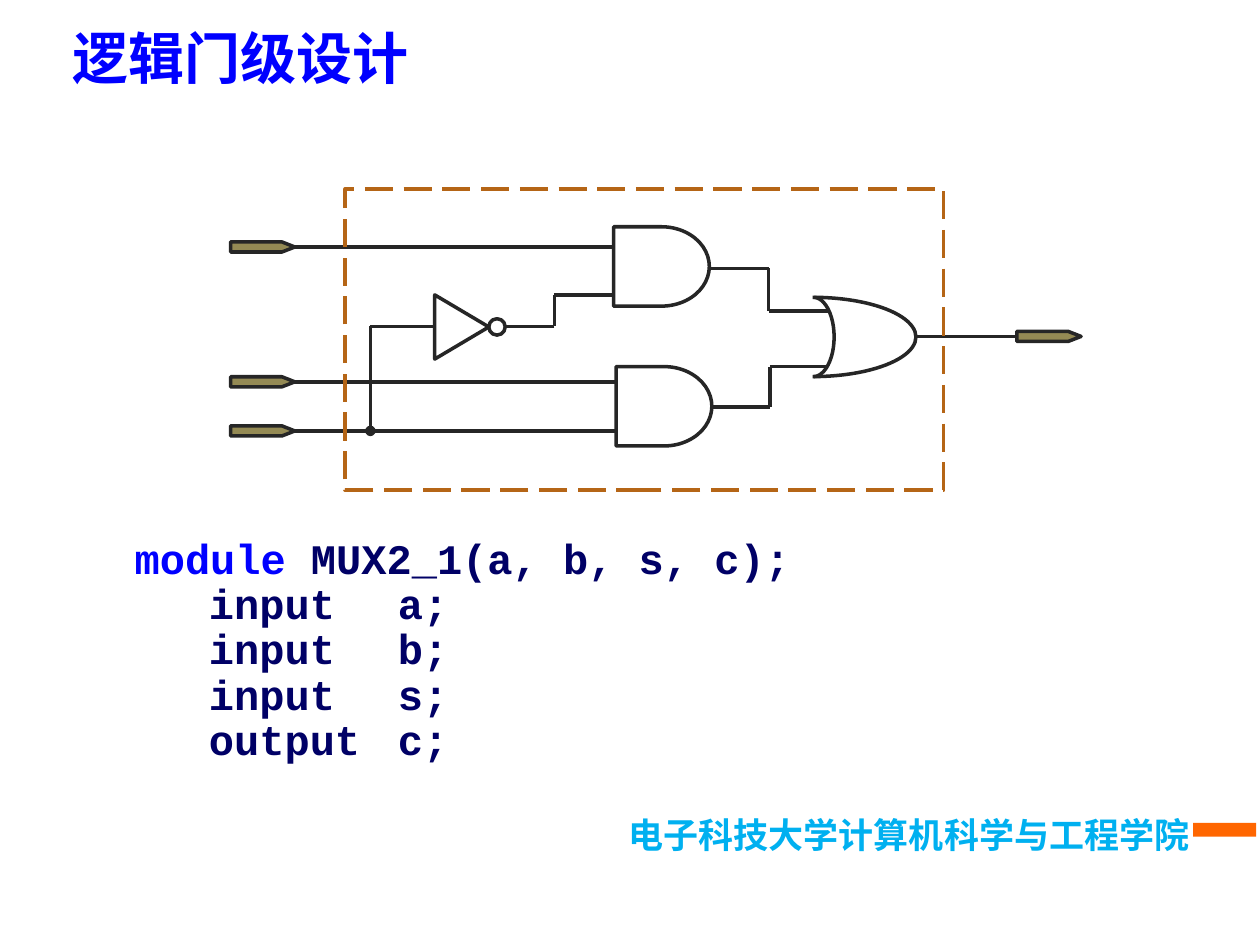
from lxml.etree import SubElement
from pptx import Presentation
from pptx.dml.color import RGBColor
from pptx.enum.dml import MSO_LINE
from pptx.enum.shapes import MSO_CONNECTOR, MSO_SHAPE
from pptx.enum.text import MSO_ANCHOR, MSO_AUTO_SIZE, PP_ALIGN
from pptx.oxml.ns import qn
from pptx.util import Inches, Pt

INK = "262626"
WHITE = "FFFFFF"
BLUE = "0000FF"
NAVY = "000066"
CJK_FONT = "Noto Sans CJK SC"
CODE_INDENT = 0.59


def color(value):
    """Turn a hex string into a colour."""
    return RGBColor.from_string(value)


def add_shape(shapes, preset, bounds, fill=None, line=INK, rotation=0):
    """Add a preset shape with an optional fill and outline."""
    shape = shapes.add_shape(preset, *map(Inches, bounds))
    shape.shadow.inherit = False
    shape.rotation = rotation
    if fill:
        shape.fill.solid()
        shape.fill.fore_color.rgb = color(fill)
    else:
        shape.fill.background()
    if line:
        shape.line.color.rgb = color(line)
        shape.line.width = Pt(2)
    else:
        shape.line.fill.background()
    return shape


def add_wires(shapes, *points, dot=False):
    """Join successive points with straight wires, ending in a dot if asked."""
    for start, end in zip(points, points[1:]):
        wire = shapes.add_connector(
            MSO_CONNECTOR.STRAIGHT, *map(Inches, (*start, *end)))
        wire.line.color.rgb = color(INK)
        wire.line.width = Pt(2)
        if dot and end == points[-1]:
            SubElement(wire.line._get_or_add_ln(), qn("a:tailEnd"), type="oval")
        SubElement(wire._element.spPr, qn("a:effectLst"))


def add_pin(shapes, left, middle):
    """Add a port marker pointing right."""
    width, height = 0.08, 0.51
    bounds = (left + (height - width) / 2, middle - height / 2, width, height)
    add_shape(shapes, MSO_SHAPE.FLOWCHART_OFFPAGE_CONNECTOR, bounds, "948A54", rotation=270)


def add_and_gate(shapes, left, top):
    """Add an AND gate."""
    add_shape(shapes, MSO_SHAPE.FLOWCHART_DELAY, (left, top, 0.76, 0.63), WHITE)


def add_or_gate(shapes):
    """Add an OR gate made of three arcs."""
    bounds = (5.63, 2.36, 1.64, 0.63)
    add_shape(shapes, MSO_SHAPE.ARC, bounds)
    lower = add_shape(shapes, MSO_SHAPE.ARC, bounds)
    lower._element.spPr.xfrm.set("flipV", "1")
    back = add_shape(shapes, MSO_SHAPE.ARC, (6.14, 2.51, 0.63, 0.33), rotation=90)
    back.adjustments[0] = 108.6
    back.adjustments[1] = 0


def add_inverter(shapes):
    """Add an inverter with its output bubble."""
    add_shape(shapes, MSO_SHAPE.FLOWCHART_EXTRACT, (3.41, 2.38, 0.51, 0.43), WHITE, rotation=90)
    add_shape(shapes, MSO_SHAPE.OVAL, (3.88, 2.53, 0.13, 0.13), WHITE)


def add_circuit(page):
    """Draw the multiplexer circuit as one group."""
    shapes = page.shapes.add_group_shape().shapes
    add_or_gate(shapes)
    for height, end in ((1.96, 4.86), (3.03, 5.5), (3.42, 5.47)):
        add_wires(shapes, (2.19, height), (end, height))
    add_wires(shapes, (4.4, 2.59), (2.94, 2.59), (2.94, 3.42), dot=True)
    add_wires(shapes, (4.4, 2.59), (4.4, 2.34), (4.87, 2.34))
    add_wires(shapes, (5.63, 2.13), (6.1, 2.13), (6.1, 2.47), (6.57, 2.47))
    add_wires(shapes, (5.65, 3.23), (6.11, 3.23), (6.11, 2.91), (6.57, 2.91))
    add_wires(shapes, (7.27, 2.67), (8.07, 2.67))
    add_inverter(shapes)
    add_and_gate(shapes, 4.87, 1.8)
    add_and_gate(shapes, 4.89, 2.91)
    for left, middle in ((1.83, 1.96), (1.83, 3.03), (1.83, 3.42), (8.07, 2.67)):
        add_pin(shapes, left, middle)
    border = add_shape(shapes, MSO_SHAPE.RECTANGLE, (2.74, 1.5, 4.75, 2.39), line="B56516")
    border.line.dash_style = MSO_LINE.LONG_DASH


def add_text(page, bounds, lines, frame_format, font, size, paragraph_format=None):
    """Add a text box from lines of (text, colour) spans."""
    box = page.shapes.add_textbox(*map(Inches, bounds))
    frame = box.text_frame
    for name, value in frame_format.items():
        setattr(frame, name, value)
    for index, spans in enumerate(lines):
        para = frame.add_paragraph() if index else frame.paragraphs[0]
        for name, value in (paragraph_format or {}).items():
            setattr(para, name, value)
        for text, tint in spans:
            span = para.add_run()
            span.text = text
            for name, value in {"name": font, "size": Pt(size), "bold": True}.items():
                setattr(span.font, name, value)
            span.font.color.rgb = color(tint)
            SubElement(span._r.get_or_add_rPr(), qn("a:ea"), typeface=CJK_FONT)
    return box


def add_code(page):
    """Add the module header with its port declarations."""
    ports = (("input", "a"), ("input", "b"), ("input", "s"), ("output", "c"))
    lines = [[("module", BLUE), (" MUX2_1(a, b, s, c);", NAVY)]]
    lines += [[(f"\t{kind}\t{port};", NAVY)] for kind, port in ports]
    box = add_text(page, (0.97, 4.22, 6.86, 1.92), lines,
                   {"word_wrap": True, "auto_size": MSO_AUTO_SIZE.SHAPE_TO_FIT_TEXT},
                   "Courier New", 24, {"line_spacing": 0.9})
    for para in box.text_frame.paragraphs:
        properties = para._p.get_or_add_pPr()
        properties.set("marL", str(Inches(CODE_INDENT)))
        properties.set("indent", str(-Inches(CODE_INDENT)))


def main():
    """Build the slide and save it."""
    deck = Presentation()
    deck.slide_width, deck.slide_height = Inches(10), Inches(7.5)
    page = deck.slides.add_slide(deck.slide_layouts[6])
    add_text(page, (0.82, 6.41, 8.72, 0.44),
             [[("电子科技大学计算机科学与工程学院", "00B0F0")]],
             {"word_wrap": False}, CJK_FONT, 20, {"alignment": PP_ALIGN.RIGHT})
    add_shape(page.shapes, MSO_SHAPE.RECTANGLE, (9.47, 6.53, 0.5, 0.11), "FF6600", None)
    add_text(page, (0.48, 0.08, 9.19, 0.75), [[("逻辑门级设计", BLUE)]],
             {"word_wrap": True, "vertical_anchor": MSO_ANCHOR.MIDDLE}, "Calibri", 32)
    add_circuit(page)
    add_code(page)
    deck.save("out.pptx")


if __name__ == "__main__":
    main()
